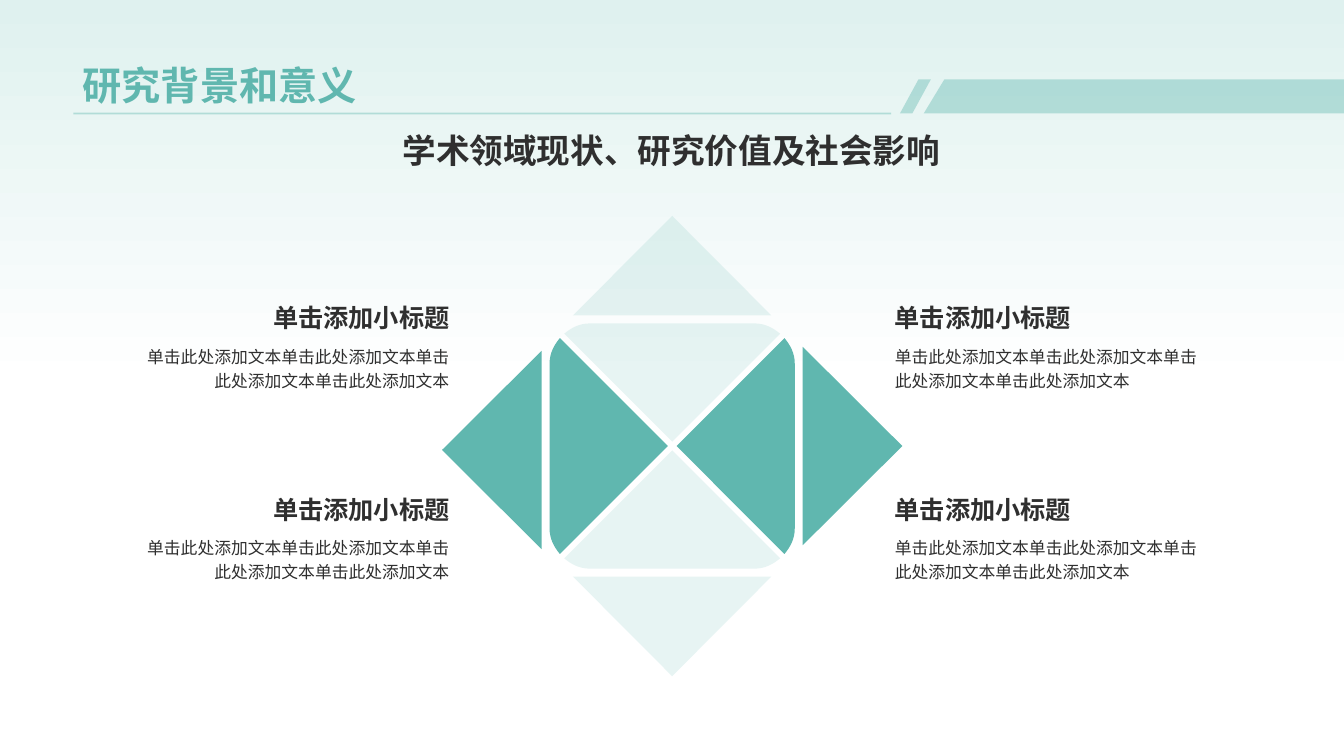
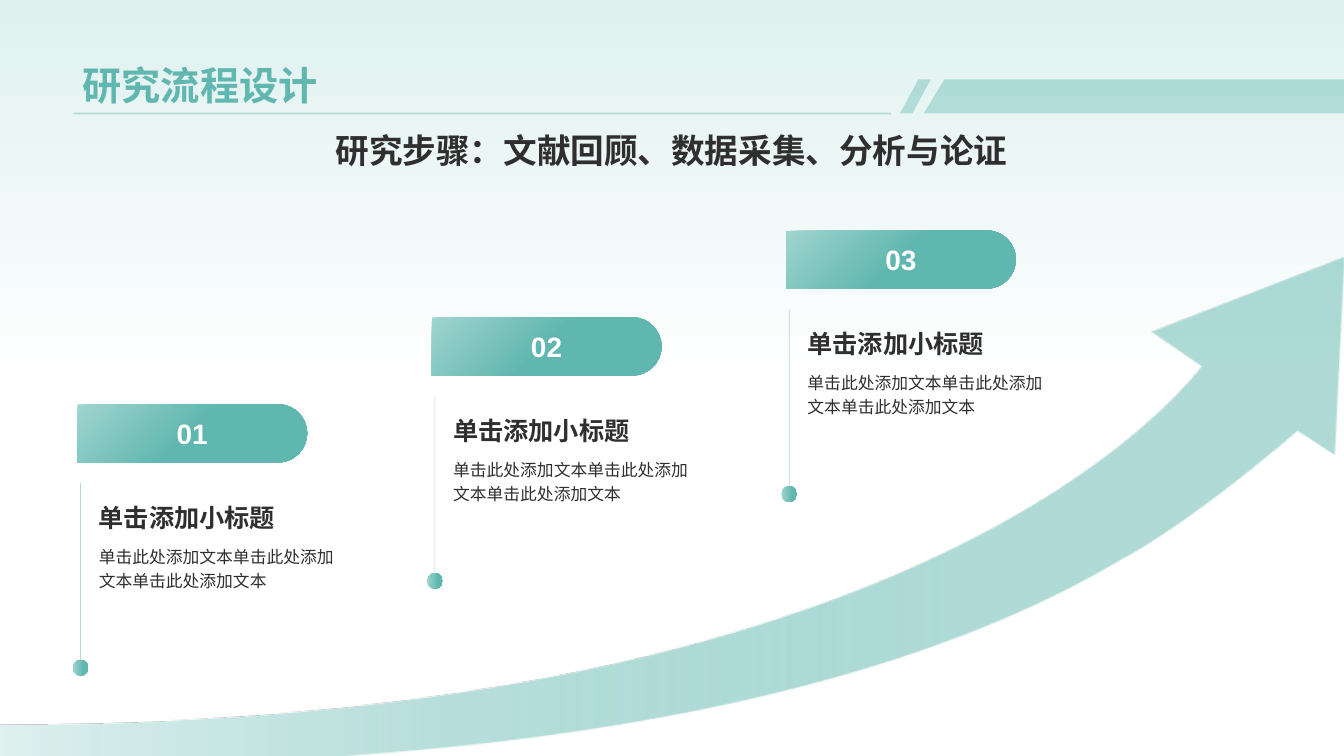
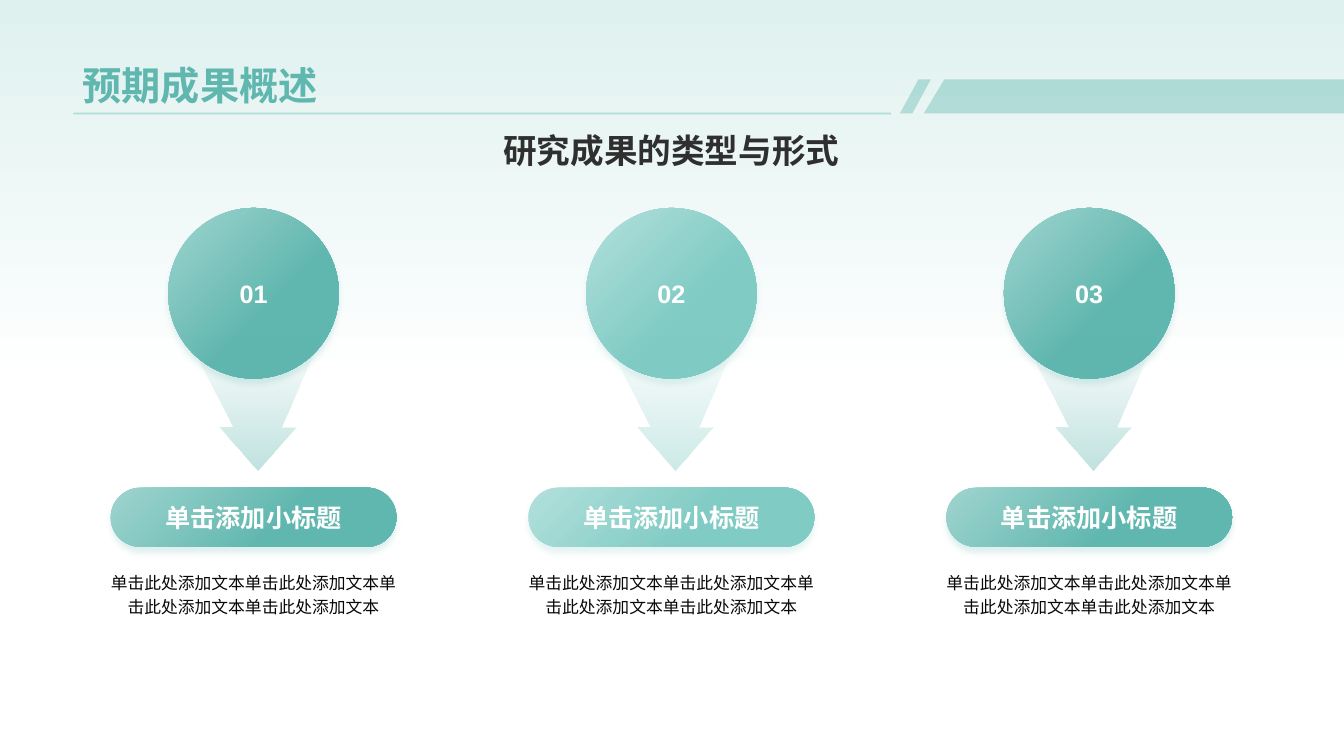
from dataclasses import dataclass
from typing import NamedTuple

from lxml.etree import SubElement
from pptx import Presentation
from pptx.dml.color import RGBColor
from pptx.dml.fill import FillFormat
from pptx.enum.shapes import MSO_CONNECTOR, MSO_SHAPE
from pptx.enum.text import MSO_ANCHOR, MSO_AUTO_SIZE, PP_ALIGN
from pptx.oxml.ns import qn
from pptx.shapes.autoshape import Shape
from pptx.shapes.connector import Connector
from pptx.slide import Slide, SlideLayout
from pptx.text.text import TextFrame
from pptx.util import Cm, Pt

Point = tuple[float, float]


@dataclass(frozen=True)
class Theme:
    font: str = "Arial"
    teal: str = "60B7AF"
    mint: str = "80CBC4"
    teal_pale: str = "A0D4CF"
    mint_pale: str = "B3E0DC"
    mist: str = "DFF1EF"
    white: str = "FFFFFF"
    ink: str = "2F2F2F"
    black: str = "080808"
    title: int = 28
    lead: int = 24
    number: int = 20
    head: int = 18
    body: int = 12


T = Theme()
WIDE, HIGH = 33.87, 19.05
HEAD = "单击添加小标题"
FILLER = "单击此处添加文本"


class Box(NamedTuple):
    left: float
    top: float
    width: float
    height: float

    def shift(self, dx: float, dy: float) -> "Box":
        return Box(self.left + dx, self.top + dy, self.width, self.height)

    def lengths(self) -> list[Cm]:
        return [Cm(v) for v in self]


class Stop(NamedTuple):
    colour: str
    place: int = 0
    alpha: int = 100


class Paint(NamedTuple):
    """One stop is a plain fill, two are a gradient; angle runs clockwise."""
    stops: tuple[Stop, ...]
    angle: int = 0


class Curve(NamedTuple):
    """A cubic curve from the point before it to end."""
    first: Point
    second: Point
    end: Point


class Side(NamedTuple):
    turns: int
    alpha: int
    drop: float = 0


class Tone(NamedTuple):
    pale: str
    deep: str


Step = Point | Curve


def plain(colour: str, alpha: int = 100) -> Paint:
    return Paint((Stop(colour, 0, alpha),))


def blend(pale: str, deep: str, place: int, angle: int) -> Paint:
    return Paint((Stop(pale), Stop(deep, place)), angle)


def fade(element, alpha: int) -> None:
    if alpha < 100:
        for colour in element.iter(qn("a:srgbClr")):
            SubElement(colour, qn("a:alpha"), val=str(alpha * 1000))


def tint(fill: FillFormat, paint: Paint) -> None:
    if len(paint.stops) == 1:
        fill.solid()
        fill.fore_color.rgb = RGBColor.from_string(paint.stops[0].colour)
        return
    fill.gradient()
    fill.gradient_angle = (360 - paint.angle) % 360
    for mark, stop in zip(fill.gradient_stops, paint.stops):
        mark.color.rgb = RGBColor.from_string(stop.colour)
        mark.position = stop.place / 100
        fade(mark.element, stop.alpha)


def dress(shape: Shape, paint: Paint) -> Shape:
    shape.shadow.inherit = False
    shape.line.fill.background()
    tint(shape.fill, paint)
    if len(paint.stops) == 1:
        fade(shape.element.spPr, paint.stops[0].alpha)
    return shape


def shade(shape: Shape, colour: str) -> None:
    """Give the shape a soft shadow straight below it."""
    effects = shape.element.spPr.find(qn("a:effectLst"))
    glow = SubElement(effects, qn("a:outerShdw"), blurRad=str(Pt(4)),
                      dist=str(Pt(4)), dir="5400000", algn="t", rotWithShape="0")
    SubElement(glow, qn("a:srgbClr"), val=colour)
    fade(glow, 20)


def write(frame: TextFrame, text: str, *, size: int, colour: str = T.ink,
          bold: bool = False, align: PP_ALIGN = PP_ALIGN.LEFT,
          anchor: MSO_ANCHOR = MSO_ANCHOR.TOP, spacing: float = 1.0,
          wrap: bool = True) -> None:
    frame.auto_size = MSO_AUTO_SIZE.NONE
    frame.word_wrap = wrap
    frame.vertical_anchor = anchor
    frame.text = text
    para = frame.paragraphs[0]
    para.alignment = align
    para.line_spacing = spacing
    font = para.runs[0].font
    font.name, font.size, font.bold = T.font, Pt(size), bold
    font.color.rgb = RGBColor.from_string(colour)


def label(slide: Slide, box: Box, text: str, **style) -> None:
    write(slide.shapes.add_textbox(*box.lengths()).text_frame, text, **style)


def note(slide: Slide, head: Box, body: Box, text: str,
         align: PP_ALIGN = PP_ALIGN.LEFT) -> None:
    label(slide, head, HEAD, size=T.head, bold=True, align=align,
          anchor=MSO_ANCHOR.BOTTOM)
    label(slide, body, text, size=T.body, align=align, spacing=1.2)


def preset(slide: Slide, kind: MSO_SHAPE, box: Box, paint: Paint) -> Shape:
    return dress(slide.shapes.add_shape(kind, *box.lengths()), paint)


def bend(shape: Shape, steps: list[Step]) -> None:
    """Join the three straight pieces that stand for each curve."""
    pieces = iter(list(shape.element.iter(qn("a:moveTo"), qn("a:lnTo"))))
    for step in steps:
        piece = next(pieces)
        if isinstance(step, Curve):
            curve = piece.makeelement(qn("a:cubicBezTo"))
            piece.addprevious(curve)
            for part in (piece, next(pieces), next(pieces)):
                curve.append(part[0])
                part.getparent().remove(part)


def outline(slide: Slide, steps: list[Step], paint: Paint,
            dx: float = 0, dy: float = 0) -> Shape:
    points: list[Point] = []
    for step in steps:
        points.extend(step if isinstance(step, Curve) else [step])
    spots = [(Cm(x + dx), Cm(y + dy)) for x, y in points]
    pen = slide.shapes.build_freeform(*spots[0])
    pen.add_line_segments(spots[1:], close=True)
    shape = pen.convert_to_shape()
    bend(shape, steps)
    return dress(shape, paint)


def rule(slide: Slide, start: Point, end: Point, width: float,
         alpha: int) -> Connector:
    line = slide.shapes.add_connector(
        MSO_CONNECTOR.STRAIGHT, *(Cm(v) for v in start + end))
    line.line.width = Pt(width)
    line.line.color.rgb = RGBColor.from_string(T.teal)
    props = line.element.spPr
    fade(props, alpha)
    SubElement(props, qn("a:effectLst"))
    return line


def adorn(layout: SlideLayout, slide: Slide) -> None:
    """Draw the header band on a slide, then move it to the layout."""
    tint(layout.background.fill, blend(T.mist, T.white, 51, 90))
    paint = plain(T.teal, 40)
    top, base = 2.0, 2.86
    band = outline(slide, [(23.8, top), (WIDE, top), (WIDE, base), (23.28, base)], paint)
    slash = preset(slide, MSO_SHAPE.PARALLELOGRAM,
                   Box(22.68, top, 0.78, base - top), paint)
    slash.adjustments[0] = 0.6
    line = rule(slide, (1.85, base), (22.46, base), 1.25, 40)
    for part in (band, slash, line):
        layout.shapes.element.append(part.element)


def begin(deck: Presentation, title: str, lead: str) -> Slide:
    slide = deck.slides.add_slide(deck.slide_layouts.get_by_name("Title Only"))
    holder = slide.shapes.title
    holder.left, holder.top, holder.width, holder.height = Box(
        1.83, 0.36, 30.18, 2.49).lengths()
    write(holder.text_frame, title, size=T.title, colour=T.teal, bold=True,
          anchor=MSO_ANCHOR.BOTTOM)
    label(slide, Box(1.83, 3.15, 30.18, 1.5), lead, size=T.lead, bold=True,
          align=PP_ALIGN.CENTER)
    return slide


def spin(step: Step, turns: int) -> Step:
    """Turn a step clockwise about the origin by quarter turns."""
    if isinstance(step, Curve):
        return Curve(*(spin(point, turns) for point in step))
    x, y = step
    for _ in range(turns):
        x, y = -y, x
    return x, y


def diamond(slide: Slide) -> None:
    centre = (16.94, 11.24)
    petal = [(0, -0.11), (-2.72, -2.83),
             Curve((-2.55, -2.97), (-2.35, -3.09), (-2.07, -3.09)),
             (2.07, -3.09),
             Curve((2.35, -3.09), (2.55, -2.97), (2.72, -2.83))]
    tip = [(0, -5.8), (2.5, -3.29), (-2.5, -3.29)]
    sides = [Side(0, 15), Side(1, 100), Side(2, 15), Side(3, 100, 0.1)]
    for side in sides:
        paint = plain(T.teal, side.alpha)
        for form, drop in ((petal, 0), (tip, side.drop)):
            outline(slide, [spin(step, side.turns) for step in form], paint,
                    centre[0], centre[1] + drop)
    for left, align in ((3.22, PP_ALIGN.RIGHT), (22.3, PP_ALIGN.LEFT)):
        for top in (7.01, 11.84):
            note(slide, Box(left, top, 8.36, 1.5),
                 Box(left, top + 1.49, 8.36, 2.03), FILLER * 4, align)


def climb(slide: Slide) -> None:
    arrow = [(WIDE, 6.5), (33.63, 11.48), (32.69, 10.87),
             Curve((32.69, 10.87), (30.1, 13.13), (28.17, 14.15)),
             Curve((24.82, 16.13), (19.08, 18.26), (9.25, 19.0)),
             (8.53, HIGH), (0, HIGH), (0, 18.26),
             Curve((22.2, 18.26), (29.18, 10.64), (30.28, 9.25)), (29.01, 8.38)]
    outline(slide, arrow, Paint((Stop(T.mist), Stop(T.teal, 70, 50))))
    tab = [(0, 0), (5.07, 0), Curve((5.47, 0), (5.79, 0.33), (5.79, 0.73)),
           Curve((5.79, 1.13), (5.47, 1.46), (5.07, 1.46)), (0, 1.46)]
    for i in range(3):
        dx, dy = 8.93 * i, -2.19 * i
        rule(slide, (2.03 + dx, 12.17 + dy), (2.03 + dx, 16.84 + dy), 0.5, 50)
        preset(slide, MSO_SHAPE.OVAL, Box(1.83, 16.63, 0.4, 0.4).shift(dx, dy),
               blend(T.teal_pale, T.teal, 70, 0))
        note(slide, Box(2.24, 12.17, 6.73, 1.37).shift(dx, dy),
             Box(2.24, 13.55, 6.73, 3.07).shift(dx, dy), FILLER * 3)
        flag = outline(slide, tab, blend(T.teal_pale, T.teal, 50, 45),
                       1.95 + dx, 10.19 + dy)
        write(flag.text_frame, f"{i + 1:02}", size=T.number, colour=T.white,
              bold=True, align=PP_ALIGN.CENTER, anchor=MSO_ANCHOR.MIDDLE, wrap=False)


def results(slide: Slide) -> None:
    teal, mint = Tone(T.teal_pale, T.teal), Tone(T.mint_pale, T.mint)
    funnel = [(8.09, 8.43), (4.68, 8.43), (5.87, 10.75), (5.53, 10.75),
              (6.49, 11.85), (7.46, 10.75), (7.09, 10.75)]
    for i, tone in enumerate((teal, mint, teal)):
        dx = 10.53 * i
        paint = blend(tone.pale, tone.deep, 60, 45)
        disc = preset(slide, MSO_SHAPE.OVAL, Box(4.24, 5.24, 4.3, 4.3).shift(dx, 0), paint)
        outline(slide, funnel,
                Paint((Stop(tone.deep, 0, 0), Stop(tone.deep, 100, 40)), 90), dx)
        pill = preset(slide, MSO_SHAPE.ROUNDED_RECTANGLE,
                      Box(2.79, 12.29, 7.2, 1.49).shift(dx, 0), paint)
        pill.adjustments[0] = 0.5
        for shape, text in ((disc, f"{i + 1:02}"), (pill, HEAD)):
            shade(shape, tone.deep)
            write(shape.text_frame, text, size=T.head, colour=T.white, bold=True,
                  align=PP_ALIGN.CENTER, anchor=MSO_ANCHOR.MIDDLE,
                  wrap=shape is pill)
        label(slide, Box(2.44, 14.2, 7.9, 3.12).shift(dx, 0), FILLER * 4,
              size=T.body, colour=T.black, align=PP_ALIGN.CENTER, spacing=1.2)


def main() -> None:
    deck = Presentation()
    deck.slide_width, deck.slide_height = Cm(WIDE), Cm(HIGH)
    pages = [
        ("研究背景和意义", "学术领域现状、研究价值及社会影响", diamond),
        ("研究流程设计", "研究步骤：文献回顾、数据采集、分析与论证", climb),
        ("预期成果概述", "研究成果的类型与形式", results),
    ]
    for title, lead, draw in pages:
        draw(begin(deck, title, lead))
    first = deck.slides[0]
    adorn(first.slide_layout, first)
    deck.save("out.pptx")


if __name__ == "__main__":
    main()
